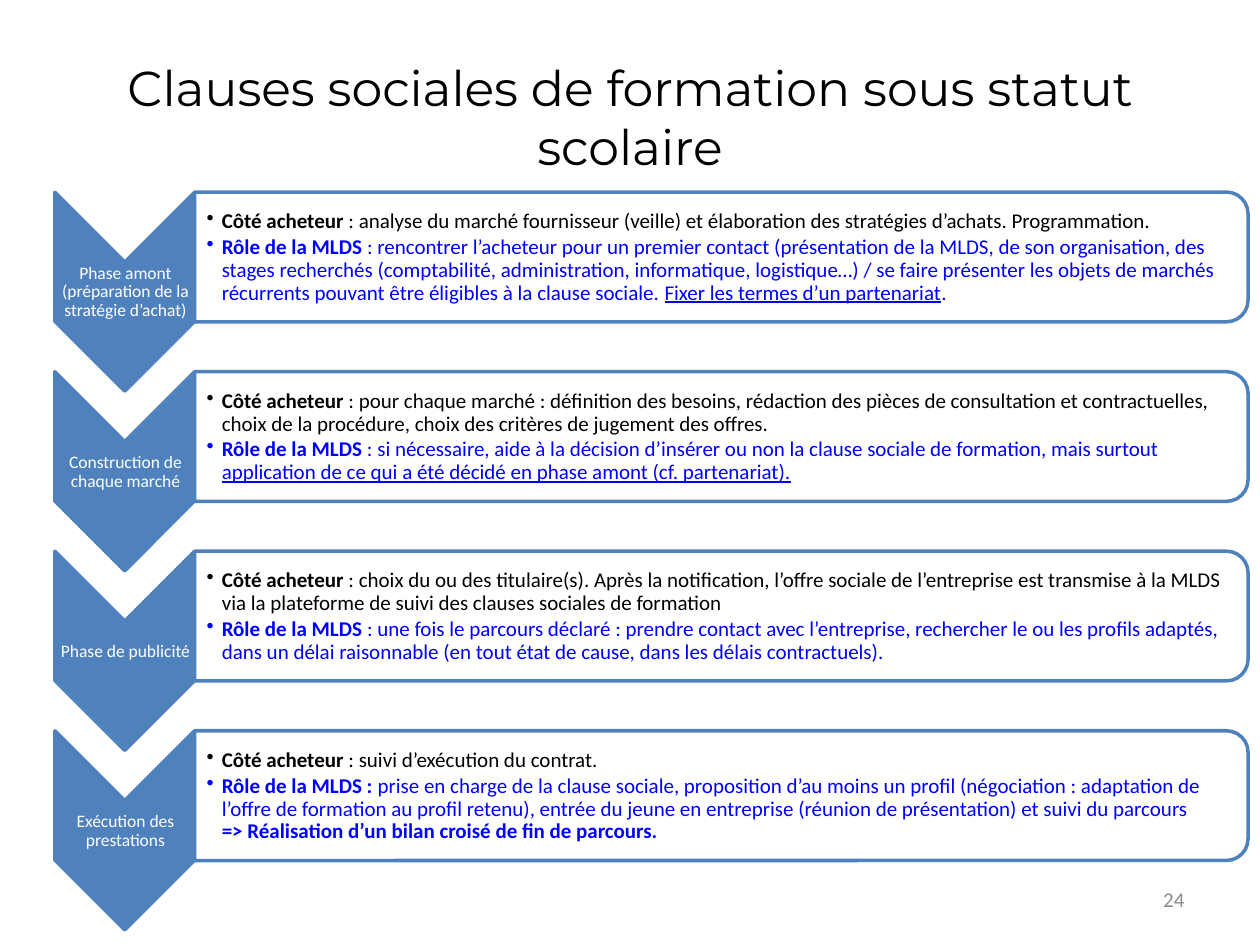
from lxml import etree
from pptx import Presentation
from pptx.dml.color import RGBColor
from pptx.enum.shapes import MSO_SHAPE
from pptx.enum.text import MSO_ANCHOR, PP_ALIGN
from pptx.oxml.ns import qn
from pptx.util import Inches, Pt

CHEVRON, ROUND_TOP = MSO_SHAPE.CHEVRON, MSO_SHAPE.ROUND_2_SAME_RECTANGLE
MIDDLE = MSO_ANCHOR.MIDDLE
LEFT, CENTER, RIGHT = PP_ALIGN.LEFT, PP_ALIGN.CENTER, PP_ALIGN.RIGHT
COLORS = {"blue": "4F81BD", "white": "FFFFFF", "black": "000000",
          "role": "0000FF", "number": "8C8C8C"}
STEP = 1.425

PHASES = [
    ("Phase amont (préparation de la stratégie d’achat)",
     [("Côté acheteur ", "b"),
      (": analyse du marché fournisseur (veille) et élaboration des stratégies "
       "d’achats. Programmation.", "")],
     [("Rôle de la MLDS ", "b"),
      (": rencontrer l’acheteur pour un premier contact (présentation de la MLDS, "
       "de son organisation, des stages recherchés (comptabilité, administration, "
       "informatique, logistique…) / se faire présenter les objets de marchés "
       "récurrents pouvant être éligibles à la clause sociale. ", ""),
      ("Fixer les termes d’un partenariat", "u"), (".", "")]),
    ("Construction de chaque marché",
     [("Côté acheteur ", "b"),
      (": pour chaque marché : définition des besoins, rédaction des pièces de "
       "consultation et contractuelles, choix de la procédure, choix des critères "
       "de jugement des offres.", "")],
     [("Rôle de la MLDS", "b"),
      (" : si nécessaire, aide à la décision d’insérer ou non la clause sociale de "
       "formation, mais surtout ", ""),
      ("application de ce qui a été décidé en phase amont (cf. partenariat).", "u")]),
    ("Phase de publicité",
     [("Côté acheteur ", "b"),
      (": choix du ou des titulaire(s). Après la notification, l’offre sociale de "
       "l’entreprise est transmise à la MLDS via la plateforme de suivi des clauses "
       "sociales de formation", "")],
     [("Rôle de la MLDS ", "b"),
      (": une fois le parcours déclaré : prendre contact avec l’entreprise, "
       "rechercher le ou les profils adaptés, dans un délai raisonnable (en tout "
       "état de cause, dans les délais contractuels).", "")]),
    ("Exécution des prestations",
     [("Côté acheteur ", "b"), (": suivi d’exécution du contrat.", "")],
     [("Rôle de la MLDS : ", "b"),
      ("prise en charge de la clause sociale, proposition d’au moins un profil "
       "(négociation : adaptation de l’offre de formation au profil retenu), entrée "
       "du jeune en entreprise (réunion de présentation) et suivi du parcours", ""),
      ("\n", ""),
      ("=> Réalisation d’un bilan croisé de fin de parcours.", "b")]),
]


def rgb(name):
    """Return a named colour."""
    return RGBColor.from_string(COLORS[name])


def set_paragraph(p, align, size, color, font="Calibri"):
    """Set the alignment and font of a paragraph."""
    p.alignment = align
    p.font.name, p.font.size = font, Pt(size)
    p.font.color.rgb = rgb(color)


def add_title(slide, text):
    """Fill and place the title placeholder."""
    title = slide.shapes.title
    title.left, title.top = Inches(0.5), Inches(0.3)
    title.width, title.height = Inches(9), Inches(1.25)
    tf = title.text_frame
    tf.text, tf.vertical_anchor = text, MIDDLE
    set_paragraph(tf.paragraphs[0], CENTER, 28, "black", "Montserrat")


def add_turned_shape(slide, kind, box, fill):
    """Add an outlined preset shape turned by a quarter."""
    sp = slide.shapes.add_shape(kind, *map(Inches, box))
    sp.rotation = 90
    sp.shadow.inherit = False
    sp.fill.solid()
    sp.fill.fore_color.rgb = rgb(fill)
    sp.line.color.rgb = rgb("blue")
    sp.line.width = Pt(2)


def add_text_frame(slide, box, left_inset=0.01, inset=0.01):
    """Add a wrapping, vertically centred text box and return its frame."""
    tf = slide.shapes.add_textbox(*map(Inches, box)).text_frame
    tf.word_wrap, tf.vertical_anchor = True, MIDDLE
    tf.margin_left = Inches(left_inset)
    tf.margin_top = tf.margin_right = tf.margin_bottom = Inches(inset)
    return tf


def add_label(slide, box, text, align, size, color):
    """Add a one-paragraph text box."""
    tf = add_text_frame(slide, box)
    tf.text = text
    p = tf.paragraphs[0]
    p.line_spacing = 0.9
    set_paragraph(p, align, size, color)


def set_bullet(p):
    """Give a paragraph a round bullet and a hanging indent."""
    p_pr = p._p.get_or_add_pPr()
    p_pr.set("marL", str(Inches(0.12)))
    p_pr.set("indent", str(Inches(-0.12)))
    etree.SubElement(p_pr, qn("a:buChar")).set("char", "•")


def fill_bullet(p, runs, color):
    """Write styled runs into a bulleted paragraph."""
    p.level = 1
    p.line_spacing, p.space_after = 0.9, Pt(1.8)
    set_bullet(p)
    set_paragraph(p, LEFT, 12, color)
    for text, style in runs:
        if text == "\n":
            p.add_line_break()
            continue
        r = p.add_run()
        r.text = text
        r.font.bold, r.font.underline = style == "b", style == "u"


def add_phase(slide, top, name, buyer, role):
    """Add one phase: chevron, name, panel and two bullets."""
    add_turned_shape(slide, CHEVRON, (0.2, top + 0.24, 1.58, 1.11), "blue")
    add_label(slide, (0.44, top + 0.56, 1.11, 0.48), name, CENTER, 10, "white")
    add_turned_shape(slide, ROUND_TOP, (5.21, top - 3.66, 1.03, 8.36), "white")
    tf = add_text_frame(slide, (1.55, top + 0.06, 8.31, 0.93), left_inset=0.09)
    fill_bullet(tf.paragraphs[0], buyer, "black")
    fill_bullet(tf.add_paragraph(), role, "role")


def main():
    """Build and save the slide."""
    prs = Presentation()
    prs.slide_width, prs.slide_height = Inches(10), Inches(7.5)
    slide = prs.slides.add_slide(prs.slide_layouts[5])
    add_title(slide, "Clauses sociales de formation sous statut scolaire")
    add_label(slide, (7.17, 6.95, 2.24, 0.4), "24", RIGHT, 12, "number")
    for i, phase in enumerate(PHASES):
        add_phase(slide, 1.52 + i * STEP, *phase)
    prs.save("out.pptx")


main()
